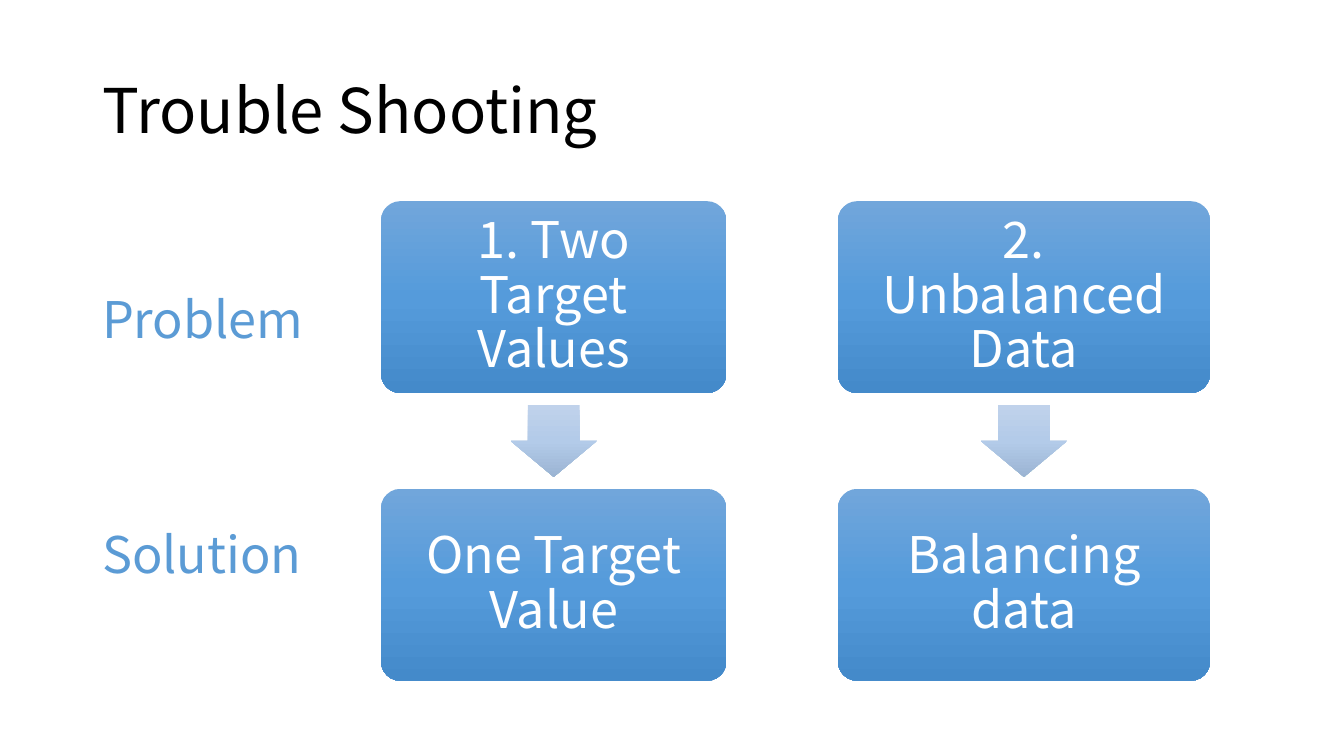
from dataclasses import dataclass

from lxml.etree import SubElement
from pptx import Presentation
from pptx.dml.color import RGBColor
from pptx.enum.shapes import MSO_SHAPE
from pptx.enum.text import MSO_ANCHOR, MSO_AUTO_SIZE, PP_ALIGN
from pptx.oxml.ns import qn
from pptx.shapes.autoshape import Shape
from pptx.slide import Slide
from pptx.text.text import _Paragraph
from pptx.util import Pt

FONT = "Noto Sans CJK KR"
COLOURS = {"title": "000000", "label": "5B9BD5", "box_text": "FFFFFF"}
BOX_GRADIENT = ("71A6DB", "559BDB", "448ACA")
ARROW_GRADIENT = ("C0D2EB", "B3CBE9", "9BB4D3")

BOX_TOP, BOX_HEIGHT, BOX_PITCH = 143.7, 137, 205.5
ARROW_WIDTH, ARROW_HEIGHT = 61.7, 51.4


@dataclass
class Flow:
    left: float
    width: float
    problem: str
    solution: str


@dataclass
class RowLabel:
    text: str
    height: float


FLOWS = [
    Flow(272.2, 246.6, "1. Two Target Values", "One Target Value"),
    Flow(598.5, 265.8, "2. Unbalanced Data", "Balancing data"),
]
ROW_LABELS = [RowLabel("Problem", 164.2), RowLabel("Solution", 171.4)]


def add_run(paragraph: _Paragraph, text: str, size: float, colour: str) -> None:
    run = paragraph.add_run()
    run.text = text
    run.font.name = FONT
    run.font.size = Pt(size)
    run.font.color.rgb = RGBColor.from_string(COLOURS[colour])


def add_gradient_shape(slide: Slide, kind: MSO_SHAPE, left: float, top: float,
                       width: float, height: float, colours: tuple) -> Shape:
    shape = slide.shapes.add_shape(kind, Pt(left), Pt(top), Pt(width), Pt(height))
    shape.shadow.inherit = False
    shape.line.fill.background()
    shape.fill.gradient()
    shape.fill.gradient_angle = 270  # counter-clockwise, so top to bottom
    # Three evenly spaced stops
    stops = shape._element.spPr.find(qn("a:gradFill")).find(qn("a:gsLst"))
    stops.clear()
    for index, colour in enumerate(colours):
        stop = SubElement(stops, qn("a:gs"), pos=str(index * 50000))
        SubElement(stop, qn("a:srgbClr"), val=colour)
    return shape


def add_box(slide: Slide, flow: Flow, top: float, text: str) -> None:
    box = add_gradient_shape(slide, MSO_SHAPE.ROUNDED_RECTANGLE, flow.left, top,
                             flow.width, BOX_HEIGHT, BOX_GRADIENT)
    box.adjustments[0] = 0.1
    frame = box.text_frame
    frame.word_wrap = True
    frame.vertical_anchor = MSO_ANCHOR.MIDDLE
    frame.margin_left = frame.margin_right = Pt(10.8)
    frame.margin_top = frame.margin_bottom = Pt(10.8)
    paragraph = frame.paragraphs[0]
    paragraph.alignment = PP_ALIGN.CENTER
    paragraph.line_spacing = 0.9
    add_run(paragraph, text, 36, "box_text")


def add_flow(slide: Slide, flow: Flow) -> None:
    add_box(slide, flow, BOX_TOP, flow.problem)
    # The arrow sits centred in the gap between the boxes
    gap = BOX_PITCH - BOX_HEIGHT
    arrow = add_gradient_shape(
        slide, MSO_SHAPE.DOWN_ARROW,
        flow.left + (flow.width - ARROW_WIDTH) / 2,
        BOX_TOP + BOX_HEIGHT + (gap - ARROW_HEIGHT) / 2,
        ARROW_WIDTH, ARROW_HEIGHT, ARROW_GRADIENT)
    arrow.adjustments[0] = 0.6
    arrow.adjustments[1] = 0.5
    add_box(slide, flow, BOX_TOP + BOX_PITCH, flow.solution)


def add_title(slide: Slide, text: str) -> None:
    title = slide.shapes.title
    title.left, title.top, title.width, title.height = Pt(66), Pt(28.8), Pt(828), Pt(104.4)
    frame = title.text_frame
    frame.auto_size = MSO_AUTO_SIZE.NONE
    frame.vertical_anchor = MSO_ANCHOR.MIDDLE
    paragraph = frame.paragraphs[0]
    paragraph.alignment = PP_ALIGN.LEFT
    paragraph.line_spacing = 0.9
    add_run(paragraph, text, 44, "title")


def add_row_labels(slide: Slide, labels: list[RowLabel]) -> None:
    height = sum(label.height for label in labels)
    table = slide.shapes.add_table(len(labels), 1, Pt(65.7), Pt(BOX_TOP),
                                   Pt(175.7), Pt(height)).table
    table.first_row = False
    table.horz_banding = False
    for row, label in zip(table.rows, labels):
        row.height = Pt(label.height)
        cell = row.cells[0]
        cell.fill.background()
        cell.vertical_anchor = MSO_ANCHOR.MIDDLE
        add_run(cell.text_frame.paragraphs[0], label.text, 36, "label")


def main() -> None:
    presentation = Presentation()
    presentation.slide_width, presentation.slide_height = Pt(960), Pt(540)
    slide = presentation.slides.add_slide(presentation.slide_layouts[5])

    # Title
    add_title(slide, "Trouble Shooting")
    # Problem-to-solution columns
    for flow in FLOWS:
        add_flow(slide, flow)
    # Row labels on the left
    add_row_labels(slide, ROW_LABELS)

    presentation.save("out.pptx")


if __name__ == "__main__":
    main()
